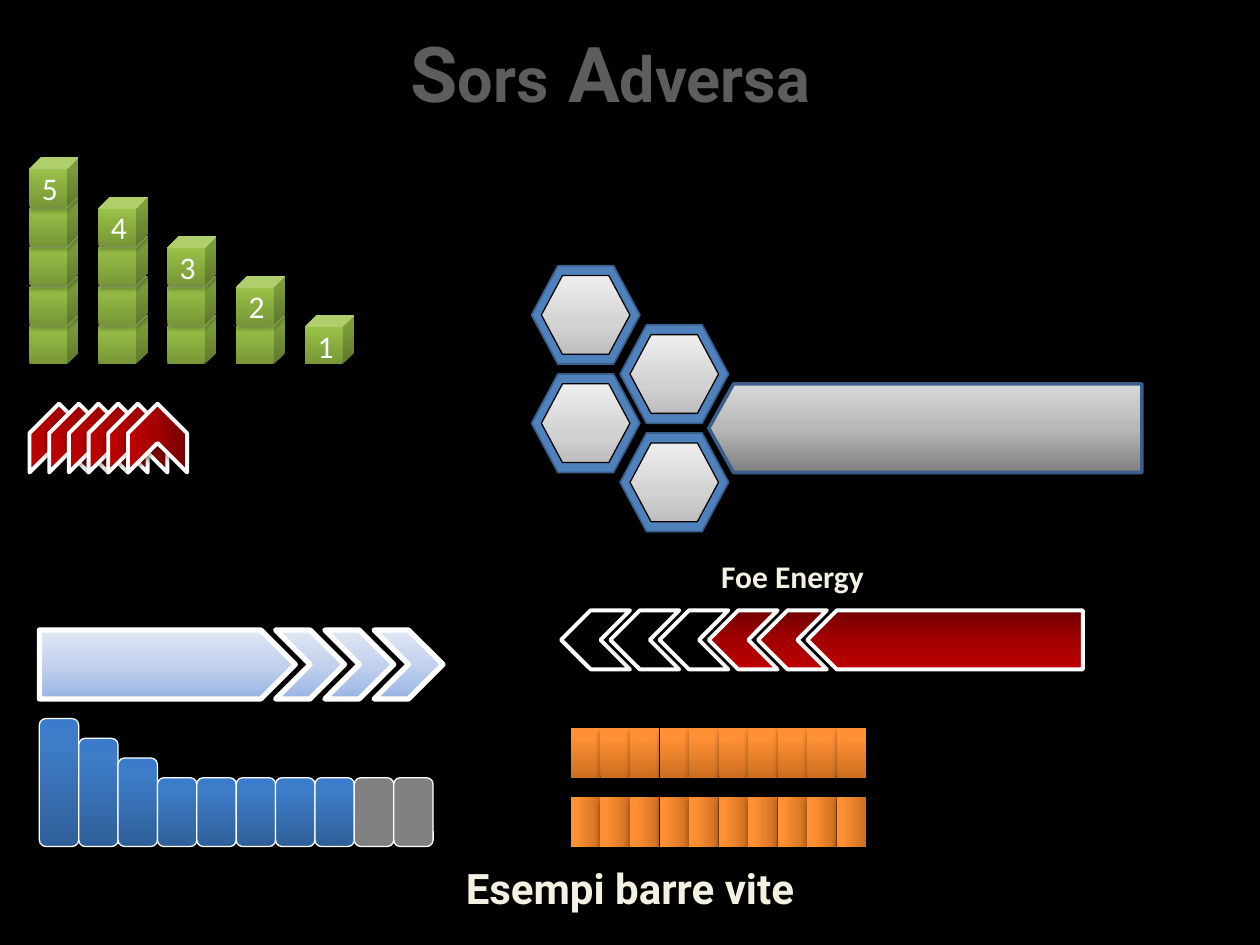
import pptx
import pptx.dml.color
import pptx.enum.shapes
import pptx.enum.text
import pptx.oxml.ns
import pptx.oxml.xmlchemy
import pptx.util
from lxml import etree

SHAPE = pptx.enum.shapes.MSO_SHAPE
ALIGN = pptx.enum.text.PP_ALIGN
qn = pptx.oxml.ns.qn

# The slide is a grid of 128 columns by 96 rows of square cells.
CELL = 10 / 128

GREEN = [(0, "779737"), (80, "9BC348"), (100, "9DC746")]
RED = [(0, "720000"), (50, "A20000"), (100, "C00000")]
PALE_BLUE = [(0, "9AB5E4"), (50, "C2D1ED"), (100, "E1E8F5")]
BLUE = [(0, "2F5F99"), (80, "3D7CC7"), (100, "3A7CCB")]
ORANGE = [(0, "CC6E20"), (80, "FF9034"), (100, "FF9136")]
SILVER = [(0, "BDBDBD"), (35, "D1D1D1"), (100, "EEEEEE")]
STEEL = [(0, "808080"), (50, "B7B7B7"), (100, "D9D9D9")]
TITLE = [(0, "555555"), (49, "5D5D5D"), (50, "000000"), (95, "000000"), (100, "000000")]
CREAM, NAVY, WHITE, BLACK = "F4F1E3", "054697", "FFFFFF", "000000"
SOFT = (35, 3.15, 1.8)   # shadow: opacity, blur, distance
STRONG = (38, 3.15, 1.6)


def rgb(value):
    return pptx.dml.color.RGBColor.from_string(value)


def cells(n):
    return pptx.util.Inches(n * CELL)


def child(parent, tag, **attrs):
    return etree.SubElement(parent, qn(tag), {k: str(v) for k, v in attrs.items()})


def paint(fill, props, color, angle=270):
    """Fill with one colour or with a list of gradient stops."""
    if isinstance(color, str):
        fill.solid()
        fill.fore_color.rgb = rgb(color)
        return
    fill.gradient()
    grad = props.find(qn("a:gradFill"))
    stops = grad.find(qn("a:gsLst"))
    for gs in list(stops):
        stops.remove(gs)
    for pos, value in color:
        child(child(stops, "a:gs", pos=pos * 1000), "a:srgbClr", val=value)
    grad.find(qn("a:lin")).set("ang", str(angle * 60000))


def add_run(p, text, size, font, color, outline=None):
    r = p.add_run()
    r.text = text
    r.font.size = pptx.util.Pt(size)
    r.font.name = font
    props = r.font._element
    paint(r.font.fill, props, color, 90)
    if outline:
        r.font.bold = True
        value, width = outline
        ln = child(props, "a:ln", w=int(width * 12700))
        child(child(ln, "a:solidFill"), "a:srgbClr", val=value)
        props.insert(0, ln)


def add_shape(shapes, kind, box, color, line=None, shadow=None, rot=0, adj=None, angle=270):
    """Place a shape so that it covers the box after its rotation."""
    x, y, w, h = box
    if rot % 180:
        x, y, w, h = x + (w - h) / 2, y + (h - w) / 2, h, w
    s = shapes.add_shape(kind, cells(x), cells(y), cells(w), cells(h))
    s.rotation = rot
    if adj is not None:
        s.adjustments[0] = adj
    s.shadow.inherit = False
    props = s._element.spPr
    paint(s.fill, props, color, angle)
    if line:
        s.line.color.rgb = rgb(line[0])
        s.line.width = pptx.util.Pt(line[1])
    else:
        s.line.fill.background()
    if shadow:
        alpha, blur, dist = shadow
        outer = child(props.find(qn("a:effectLst")), "a:outerShdw", blurRad=int(blur * 12700),
                      dist=int(dist * 12700), dir=5400000, rotWithShape=0)
        child(child(outer, "a:srgbClr", val=BLACK), "a:alpha", val=alpha * 1000)
    return s


def add_text(shapes, box, runs, font, color, outline, align=ALIGN.LEFT):
    s = shapes.add_textbox(*(cells(n) for n in box))
    tf = s.text_frame
    tf.word_wrap = True
    tf.auto_size = pptx.enum.text.MSO_AUTO_SIZE.SHAPE_TO_FIT_TEXT
    p = tf.paragraphs[0]
    p.alignment = align
    for text, size in runs:
        add_run(p, text, size, font, color, outline)


def cube_towers(shapes, x, bottom, tallest):
    size, column, row = 5, 7, 4
    for i, count in enumerate(range(tallest, 0, -1)):
        for level in range(count):
            box = (x + i * column, bottom - size - level * row, size, size)
            s = add_shape(shapes, SHAPE.CUBE, box, GREEN, shadow=SOFT, adj=0.239)
        tf = s.text_frame
        tf.vertical_anchor = pptx.enum.text.MSO_ANCHOR.MIDDLE
        p = tf.paragraphs[0]
        p.alignment = ALIGN.CENTER
        add_run(p, str(count), 18, "Calibri", WHITE)


def chevrons(shapes, x, y, w, h, step, colors, width, rot=0):
    for i, color in enumerate(colors):
        add_shape(shapes, SHAPE.CHEVRON, (x + i * step, y, w, h), color,
                  (WHITE, width), STRONG, rot)


def life_arrow(shapes, x, y, w, h):
    step, count = 5, 3
    add_shape(shapes, SHAPE.PENTAGON, (x, y, w - count * step, h), PALE_BLUE,
              (WHITE, 3), STRONG)
    chevrons(shapes, x + w - h - (count - 1) * step, y, h, h, step, [PALE_BLUE] * count, 3)


def boss_bar(shapes, x, y, w, h):
    step, colors = 5, [BLACK] * 3 + [RED] * 2
    chevrons(shapes, x, y, 7, h, step, colors, 2.25, 180)
    start = step * len(colors)
    add_shape(shapes, SHAPE.PENTAGON, (x + start, y, w - start, h), RED,
              (WHITE, 2.25), STRONG, 180)
    add_text(shapes, (x + 15, y - 6, 29, 5), [("Foe Energy", 18)], "Calibri", CREAM, (NAVY, 1))


def block_row(shapes, x, y, w, h, rot, count=10):
    for i in range(count):
        add_shape(shapes, SHAPE.RECTANGLE, (x + i * w / count, y, w / count, h),
                  ORANGE, shadow=SOFT, rot=rot)


def honeycomb(shapes, x, y):
    for dx, dy in [(0, 0), (9, 6), (0, 11), (9, 17)]:
        left, top = x + dx, y + dy
        add_shape(shapes, SHAPE.HEXAGON, (left, top, 11, 10), "4F81BD",
                  ("3A5F8C", 1), adj=0.268)
        add_shape(shapes, SHAPE.HEXAGON, (left + 1, top + 1, 9, 8), SILVER,
                  (BLACK, 0.75), adj=0.268)
    add_shape(shapes, SHAPE.PENTAGON, (x + 18, y + 12, 44, 9), STEEL,
              ("3A5F8C", 2), rot=180, adj=0.279, angle=90)


def life_columns(shapes, x, bottom):
    group = shapes.add_group_shape().shapes
    full, empty, w = [13, 11, 9, 7, 7, 7, 7, 7], [7, 7], 4
    for i, h in enumerate(full + empty):
        color = BLUE if i < len(full) else "808080"
        add_shape(group, SHAPE.ROUNDED_RECTANGLE, (x + i * w, bottom - h, w, h),
                  color, (WHITE, 0.75))


def main():
    prs = pptx.Presentation()
    prs.slide_width, prs.slide_height = cells(128), cells(96)
    slide = prs.slides.add_slide(prs.slide_layouts[6])
    slide.background.fill.solid()
    slide.background.fill.fore_color.rgb = rgb(BLACK)
    shapes = slide.shapes

    add_text(shapes, (0, 87, 128, 11.6), [("Esempi barre vite", 24)], "Roboto",
             CREAM, (NAVY, 1), ALIGN.CENTER)
    add_text(shapes, (0, 2, 124, 10.8), [("S", 44), ("ors", 36), (" A", 44), ("dversa", 36)],
             "Roboto", TITLE, (WHITE, 1.4), ALIGN.CENTER)
    cube_towers(shapes, 3, 37, 5)
    chevrons(shapes, 3, 41, 6, 7, 2, [RED] * 6, 2.25, 270)
    life_arrow(shapes, 4, 64, 41, 7)
    boss_bar(shapes, 57, 62, 53, 6)
    block_row(shapes, 58, 74, 30, 5, 0)
    block_row(shapes, 58, 81, 30, 5, 270)
    honeycomb(shapes, 54, 27)
    life_columns(shapes, 4, 86)
    prs.save("out.pptx")


if __name__ == "__main__":
    main()
